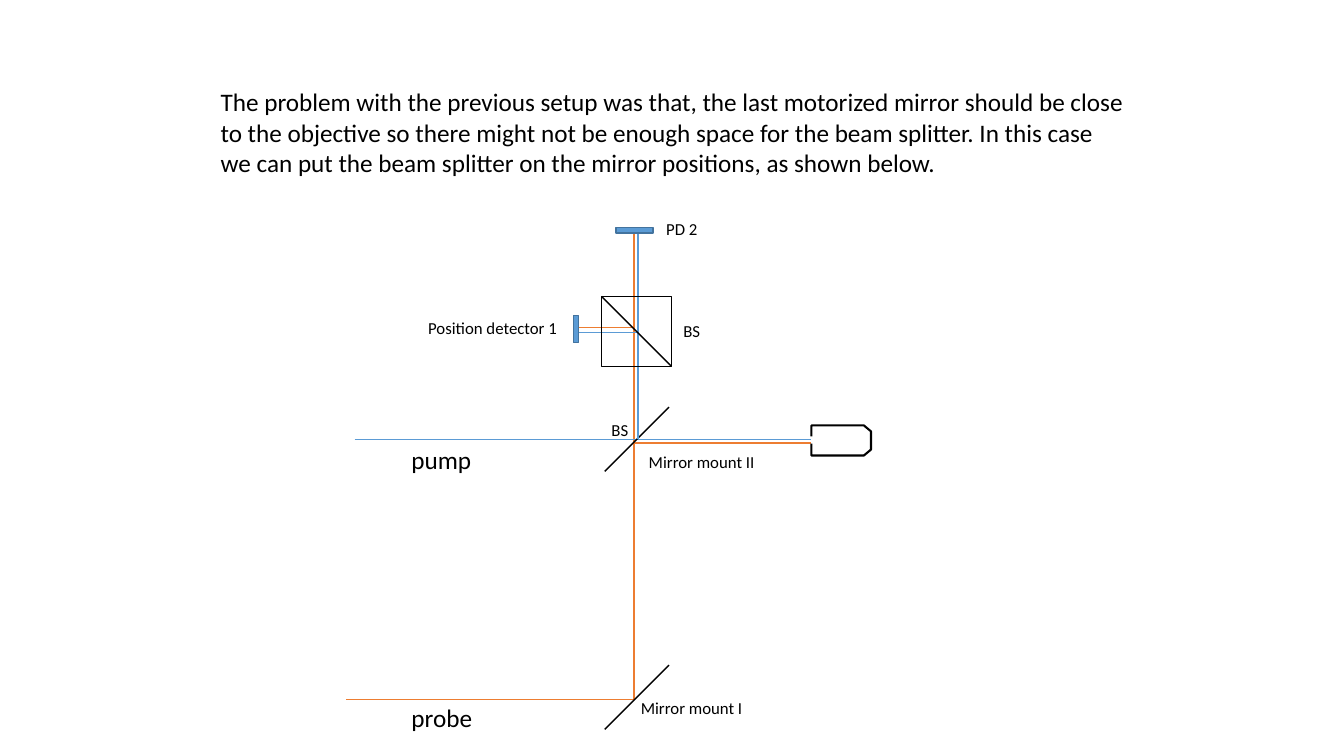
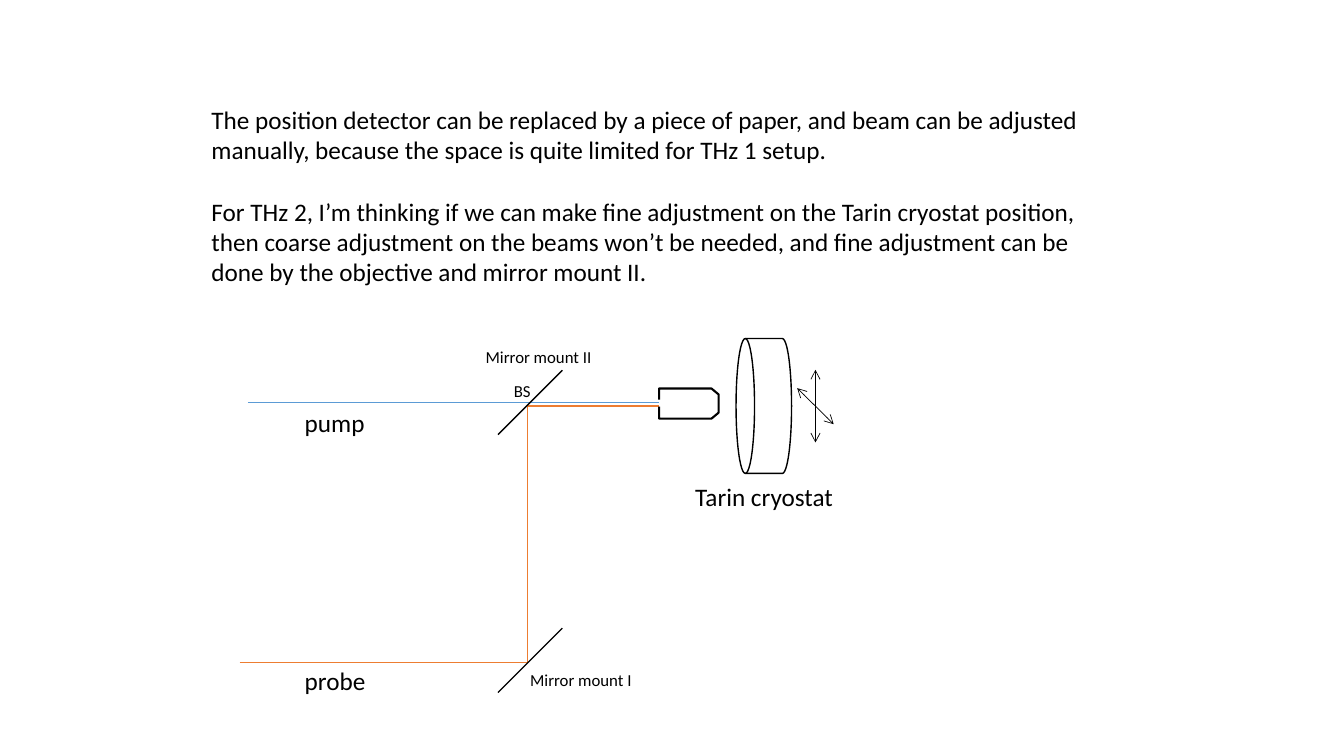
from lxml.etree import SubElement
from pptx import Presentation
from pptx.dml.color import RGBColor
from pptx.enum.shapes import MSO_CONNECTOR, MSO_SHAPE
from pptx.enum.text import MSO_AUTO_SIZE
from pptx.oxml.ns import qn
from pptx.util import Cm, Pt

COLOURS = {
    "ink": "000000",
    "probe": "ED7D31",
    "pump": "5B9BD5",
    "detector": "5B9BD5",
    "detector edge": "43739E",
}
FONT = "Calibri"
BODY_SIZE, SMALL_SIZE = 18, 12
BODY_HEIGHT, SMALL_HEIGHT = 1.03, 0.77
MIRROR_GAP = 6.5
MIRROR_HALF = 0.81
OBJECTIVE_OUTLINE = [
    (0, 0.28), (0, 0), (1.32, 0), (1.5, 0.15),
    (1.5, 0.61), (1.32, 0.76), (0, 0.76), (0, 0.46),
]


def colour(name):
    """Return the palette colour with this name."""
    return RGBColor.from_string(COLOURS[name])


def add_text(slide, box, paragraphs, size, wrap):
    """Add paragraphs of plain text, one blank line's height apart."""
    frame = slide.shapes.add_textbox(*map(Cm, box)).text_frame
    frame.word_wrap = wrap
    frame.auto_size = MSO_AUTO_SIZE.SHAPE_TO_FIT_TEXT
    frame.text = "\n".join(paragraphs)
    for index, paragraph in enumerate(frame.paragraphs):
        paragraph.space_before = Pt(22 if index else 0)
        for run in paragraph.runs:
            run.font.name = FONT
            run.font.size = Pt(size)
            run.font.color.rgb = colour("ink")


def add_label(slide, left, top, width, wording):
    """Add a small one-line label."""
    add_text(slide, (left, top, width, SMALL_HEIGHT), [wording], SMALL_SIZE, False)


def add_beam_name(slide, left, top, width, wording):
    """Add a large one-line label."""
    add_text(slide, (left, top, width, BODY_HEIGHT), [wording], BODY_SIZE, False)


def add_line(slide, start, end, ink="ink", width=1, arrows=False):
    """Draw a straight line, with arrowheads at both ends if asked."""
    line = slide.shapes.add_connector(
        MSO_CONNECTOR.STRAIGHT, *map(Cm, (*start, *end)))
    line.line.color.rgb = colour(ink)
    line.line.width = Pt(width)
    properties = line.element.spPr
    if arrows:
        for tip in ("a:headEnd", "a:tailEnd"):
            SubElement(properties.find(qn("a:ln")), qn(tip), type="arrow")
    SubElement(properties, qn("a:effectLst"))


def style_outline(shape, ink="ink", width=1, fill=None):
    """Give a shape its outline and an optional fill."""
    shape.shadow.inherit = False
    shape.line.color.rgb = colour(ink)
    shape.line.width = Pt(width)
    if fill:
        shape.fill.solid()
        shape.fill.fore_color.rgb = colour(fill)
    else:
        shape.fill.background()


def add_detector(slide, *box):
    """Draw a photodetector plate."""
    plate = slide.shapes.add_shape(MSO_SHAPE.RECTANGLE, *map(Cm, box))
    style_outline(plate, "detector edge", fill="detector")


def add_mirror(slide, x, y):
    """Draw a mirror at 45 degrees around its centre."""
    add_line(slide, (x + MIRROR_HALF, y - MIRROR_HALF),
             (x - MIRROR_HALF, y + MIRROR_HALF))


def add_objective(slide, left, top):
    """Draw the objective, open where the beams enter."""
    points = [(Cm(left + x), Cm(top + y)) for x, y in OBJECTIVE_OUTLINE]
    builder = slide.shapes.build_freeform(*points[0])
    builder.add_line_segments(points[1:], close=False)
    style_outline(builder.convert_to_shape(), width=1.5)


def add_splitter_cube(slide, left, top, side):
    """Draw a beam splitter cube with its diagonal."""
    cube = slide.shapes.add_shape(
        MSO_SHAPE.RECTANGLE, *map(Cm, (left, top, side, side)))
    style_outline(cube)
    add_line(slide, (left + side, top + side), (left, top))


def add_beam_path(slide, x, y, reach, probe_top):
    """Draw pump, probe, both mirrors and the objective around mirror II."""
    turn, probe_y, merged_y = x - 0.07, y + MIRROR_GAP + 0.06, y + 0.09
    entrance = x + reach
    add_line(slide, (x - 7.32, probe_y), (turn, probe_y), "probe")
    add_line(slide, (turn, probe_y), (turn, probe_top), "probe")
    add_line(slide, (turn, merged_y), (entrance, merged_y), "probe")
    add_line(slide, (x - 7.11, y), (entrance, y), "pump")
    add_objective(slide, entrance, y - 0.35)
    for name, drop in (("pump", 0), ("probe", MIRROR_GAP)):
        add_beam_name(slide, x - 5.93, y + drop, 2.05, name)
        add_mirror(slide, x, y + drop)


def build_splitter_slide(slide):
    """Show the beam splitter at the mirror position."""
    add_text(slide, (5.31, 2.06, 23.27, 2.57), [
        "The problem with the previous setup was that, the last motorized "
        "mirror should be close to the objective so there might not be enough "
        "space for the beam splitter. In this case we can put the beam "
        "splitter on the mirror positions, as shown below."], BODY_SIZE, True)
    add_beam_path(slide, 16.05, 11.07, 4.4, 5.87)
    add_line(slide, (15.98, 8.26), (14.58, 8.26), "probe")
    add_line(slide, (16.08, 11.07), (16.08, 5.79), "pump")
    add_line(slide, (16.08, 8.38), (14.48, 8.38), "pump")
    add_splitter_cube(slide, 15.16, 7.47, 1.76)
    add_detector(slide, 15.52, 5.74, 0.94, 0.13)
    add_detector(slide, 14.45, 7.95, 0.13, 0.69)
    for label in (
        (16.97, 7.95, 0.94, "BS"),
        (15.16, 10.44, 0.94, "BS"),
        (16.54, 5.38, 1.32, "PD 2"),
        (16.1, 11.25, 3.2, "Mirror mount II"),
        (15.9, 17.45, 3.2, "Mirror mount I"),
        (10.54, 7.87, 3.81, "Position detector 1"),
    ):
        add_label(slide, *label)


def build_cryostat_slide(slide):
    """Show the setup with an adjustable cryostat."""
    add_text(slide, (5.08, 2.51, 23.52, 4.88), [
        "The position detector can be replaced by a piece of paper, and beam "
        "can be adjusted manually, because the space is quite limited for "
        "THz 1 setup.",
        "For THz 2, I’m thinking if we can make fine adjustment on the Tarin "
        "cryostat position, then coarse adjustment on the beams won’t be "
        "needed, and fine adjustment can be done by the objective and mirror "
        "mount II."], BODY_SIZE, True)
    add_beam_path(slide, 13.36, 10.14, 3.25, 10.23)
    for label in (
        (12.7, 9.47, 0.94, "BS"),
        (11.99, 8.61, 3.2, "Mirror mount II"),
        (13.11, 16.74, 3.2, "Mirror mount I"),
    ):
        add_label(slide, *label)
    cryostat = slide.shapes.add_shape(
        MSO_SHAPE.FLOWCHART_MAGNETIC_DISK, *map(Cm, (17.55, 9.53, 3.4, 1.4)))
    cryostat.rotation = 270
    style_outline(cryostat)
    add_line(slide, (20.55, 9.32), (20.55, 11.15), width=0.5, arrows=True)
    add_line(slide, (20.09, 9.78), (21.01, 10.69), width=0.5, arrows=True)
    add_beam_name(slide, 17.27, 12.01, 3.99, "Tarin cryostat")


def main():
    """Build and save the two slides."""
    deck = Presentation()
    deck.slide_width, deck.slide_height = Cm(33.87), Cm(19.05)
    for build in (build_splitter_slide, build_cryostat_slide):
        build(deck.slides.add_slide(deck.slide_layouts[6]))
    deck.save("out.pptx")


main()
